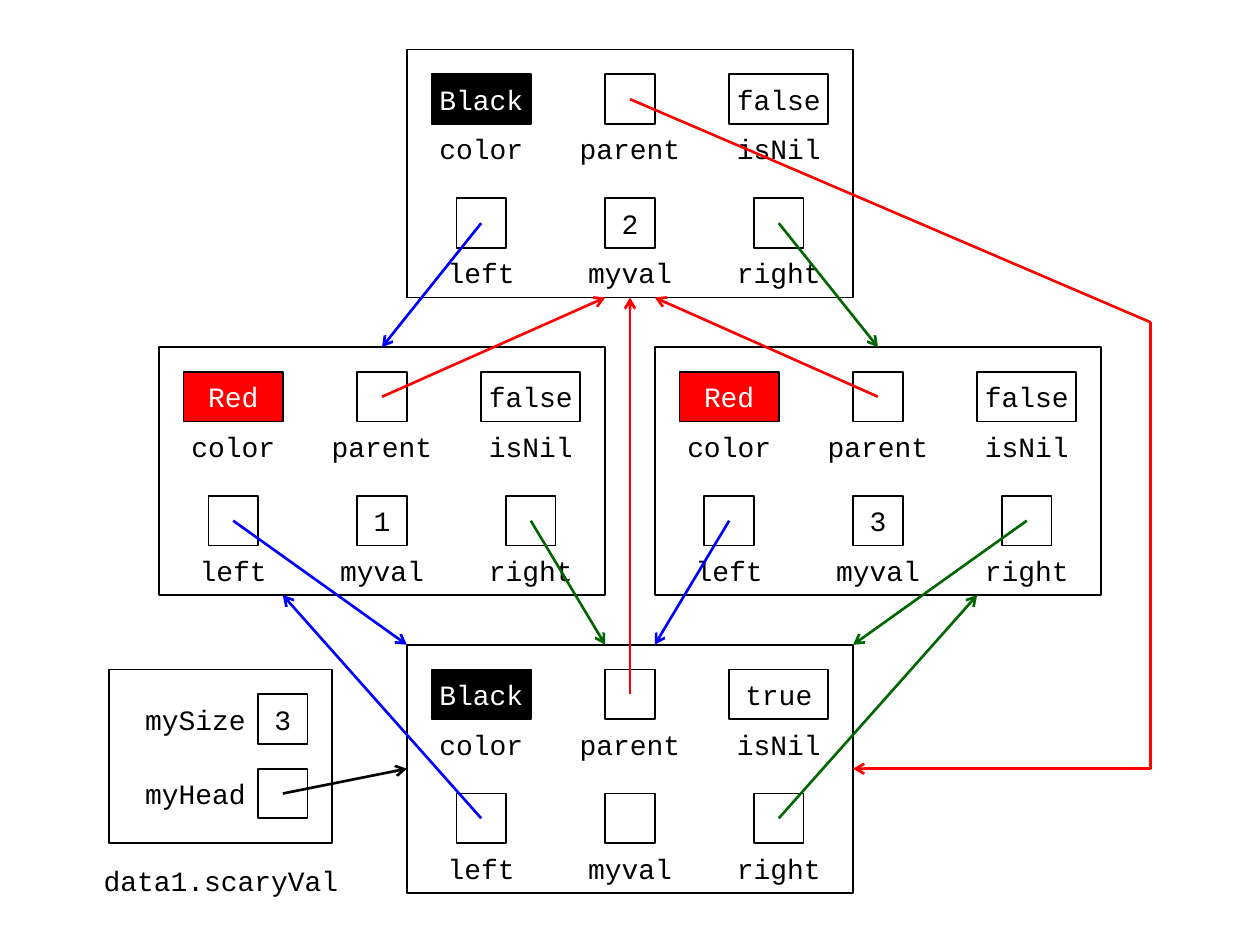
from dataclasses import dataclass

from lxml import etree
from pptx import Presentation
from pptx.dml.color import RGBColor
from pptx.enum import shapes, text
from pptx.oxml import ns
from pptx.util import Pt

CENTRE = 360   # x of the tree's axis, in points
UNIT = 14.17   # grid step, half a centimetre in points


@dataclass(frozen=True)
class Theme:
    ink: str = "000000"
    paper: str = "FFFFFF"
    red: str = "FF0000"
    blue: str = "0000FF"
    green: str = "006600"
    font: str = "Courier New"
    size: int = 16
    outline: float = 1
    stroke: float = 1.5


@dataclass(frozen=True)
class Node:
    """A tree node: x is its centre line and y its top edge, in grid steps."""
    x: int
    y: int
    color: str
    value: str
    is_nil: str = "false"


ROOT = Node(0, 2, "Black", "2")
LOW = Node(-10, 14, "Red", "1")
HIGH = Node(10, 14, "Red", "3")
SENTINEL = Node(0, 26, "Black", "", "true")

# Centre of each pointer cell, counted from the node's top centre
POINTERS = {"left": (-6, 7), "parent": (0, 2), "right": (6, 7)}

# Node, pointer field, then the points its line runs through
LINKS = [
    (SENTINEL, "left", [(-14, 24)]),
    (SENTINEL, "parent", [(0, 12)]),
    (SENTINEL, "right", [(14, 24)]),
    (LOW, "parent", [(-1, 12)]),
    (HIGH, "parent", [(1, 12)]),
    (ROOT, "left", [(-10, 14)]),
    (ROOT, "right", [(10, 14)]),
    (LOW, "left", [(-9, 26)]),
    (LOW, "right", [(-1, 26)]),
    (HIGH, "left", [(1, 26)]),
    (HIGH, "right", [(9, 26)]),
    (ROOT, "parent", [(21, 13), (21, 31), (9, 31)]),
]


def point(x, y):
    """Turn grid steps from the axis and the top edge into slide lengths."""
    return Pt(CENTRE + x * UNIT), Pt(y * UNIT)


def rgb(value):
    return RGBColor.from_string(value)


class Diagram:
    def __init__(self, slide, theme):
        self.slide = slide
        self.theme = theme
        self.pointer_colors = {"left": theme.blue, "parent": theme.red,
                               "right": theme.green}
        self.tag_fills = {"Black": theme.ink, "Red": theme.red}

    def set_text(self, shape, words, color, align=text.PP_ALIGN.CENTER, inset=3):
        frame = shape.text_frame
        values = {"word_wrap": True, "vertical_anchor": text.MSO_ANCHOR.MIDDLE,
                  "margin_left": Pt(inset), "margin_right": Pt(inset),
                  "margin_top": 0, "margin_bottom": 0}
        for name, value in values.items():
            setattr(frame, name, value)
        para = frame.paragraphs[0]
        para.alignment = align
        span = para.add_run()
        span.text = words
        for name, value in {"name": self.theme.font, "size": Pt(self.theme.size)}.items():
            setattr(span.font, name, value)
        span.font.color.rgb = rgb(color)

    def box(self, x, y, width, height, words="", fill=None):
        theme = self.theme
        shape = self.slide.shapes.add_shape(
            shapes.MSO_SHAPE.RECTANGLE, *point(x, y), Pt(width * UNIT), Pt(height * UNIT))
        shape.shadow.inherit = False
        shape.fill.solid()
        shape.fill.fore_color.rgb = rgb(fill or theme.paper)
        shape.line.color.rgb = rgb(theme.ink)
        shape.line.width = Pt(theme.outline)
        if words:
            self.set_text(shape, words, theme.paper if fill else theme.ink)

    def cell(self, x, y, words="", width=2, fill=None):
        """Draw a field's cell centred on (x, y)."""
        self.box(x - width / 2, y - 1, width, 2, words, fill)

    def label(self, x, y, words, width=6, height=2, align=text.PP_ALIGN.CENTER):
        shape = self.slide.shapes.add_textbox(
            *point(x, y), Pt(width * UNIT), Pt(height * UNIT))
        self.set_text(shape, words, self.theme.ink, align, inset=7.2)

    def line(self, start, end, color, arrow=True):
        line = self.slide.shapes.add_connector(
            shapes.MSO_CONNECTOR.STRAIGHT, *point(*start), *point(*end))
        line.line.color.rgb = rgb(color)
        line.line.width = Pt(self.theme.stroke)
        properties = line.element.spPr
        if arrow:
            etree.SubElement(properties.find(ns.qn("a:ln")), ns.qn("a:tailEnd"), type="arrow")
        etree.SubElement(properties, ns.qn("a:effectLst"))

    def node(self, node):
        x, y = node.x, node.y
        self.box(x - 9, y, 18, 10)
        self.cell(x - 6, y + 2, node.color, 4, self.tag_fills[node.color])
        self.cell(x + 6, y + 2, node.is_nil, 4)
        self.cell(x, y + 7, node.value)
        for dx, dy in POINTERS.values():
            self.cell(x + dx, y + dy)
        for dy, names in ((3, ("color", "parent", "isNil")), (8, ("left", "myval", "right"))):
            for dx, name in zip((-6, 0, 6), names):
                width = 4 if name == "left" else 6
                self.label(x + dx - width / 2, y + dy, name, width)

    def container(self):
        self.box(-21, 27, 9, 7)
        self.label(-22, 34, "data1.scaryVal", 11, 3)
        for y, name, value in ((29, "mySize", "3"), (32, "myHead", "")):
            self.cell(-14, y, value)
            self.label(-21, y - 1, name, align=text.PP_ALIGN.RIGHT)
        self.line((-14, 32), (-9, 31), self.theme.ink)

    def link(self, node, field, stops):
        """Run a line from a pointer cell through stops, arrow on the last leg."""
        dx, dy = POINTERS[field]
        start = (node.x + dx, node.y + dy)
        for stop in stops:
            self.line(start, stop, self.pointer_colors[field], arrow=stop == stops[-1])
            start = stop


def main():
    deck = Presentation()
    deck.slide_width, deck.slide_height = Pt(720), Pt(540)
    page = deck.slides.add_slide(deck.slide_layouts[6])
    diagram = Diagram(page, Theme())
    for node in (SENTINEL, LOW, HIGH, ROOT):
        diagram.node(node)
    diagram.container()
    for link in LINKS:
        diagram.link(*link)
    deck.save("out.pptx")


if __name__ == "__main__":
    main()
